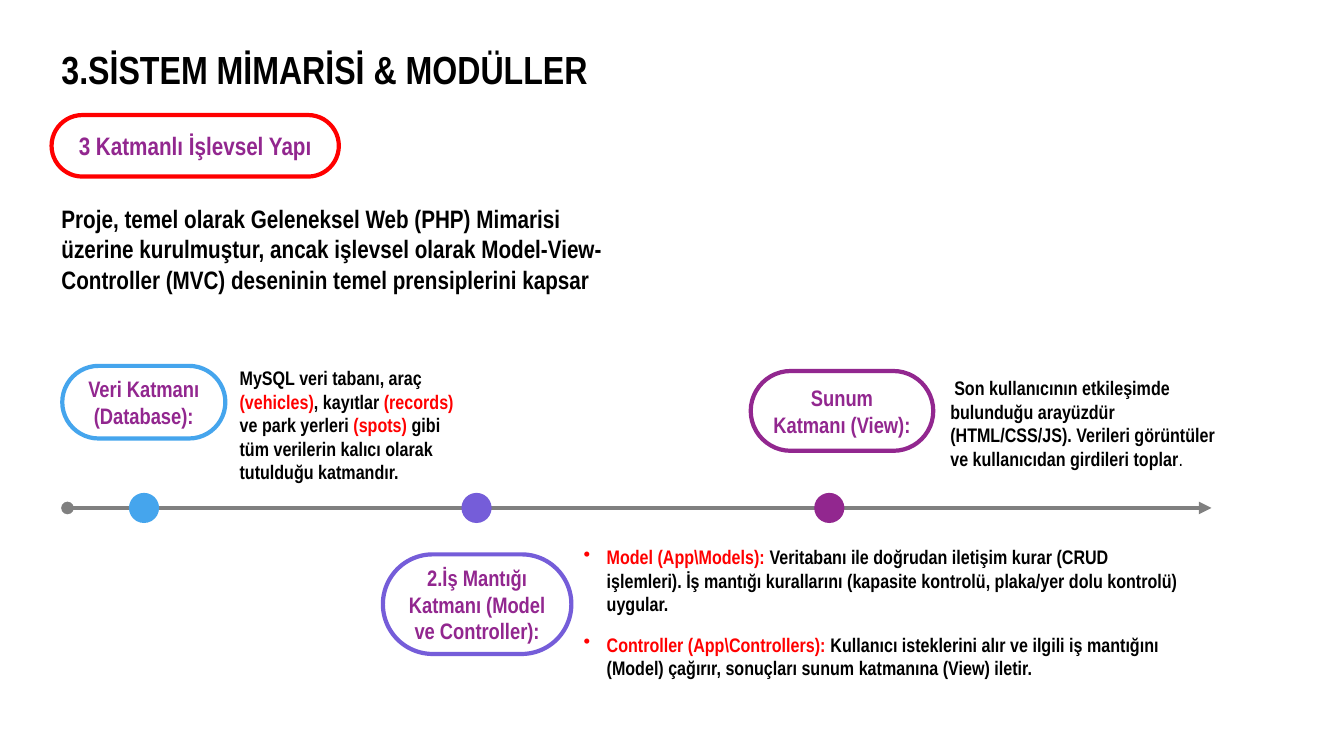
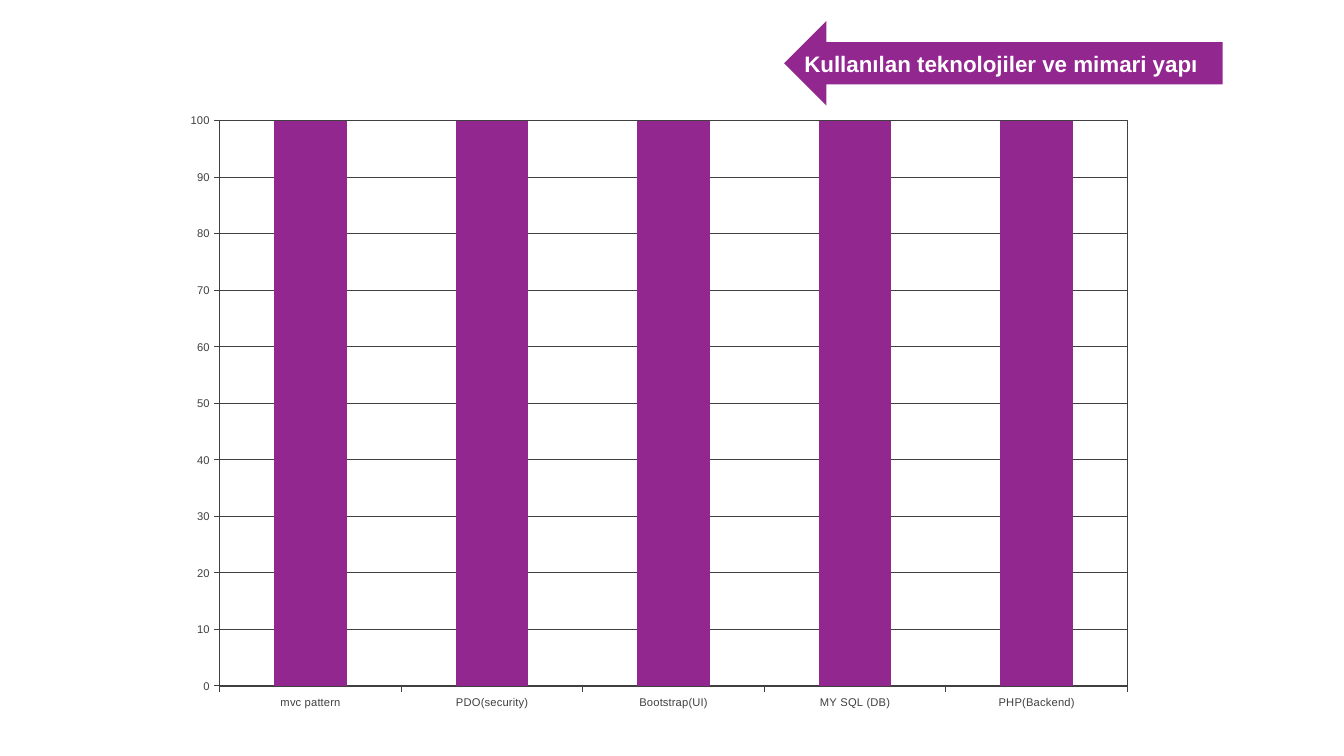
"""Builds two slides on the layered architecture of a parking system."""
import dataclasses

import lxml.etree
import pptx
import pptx.chart.data
import pptx.dml.color
import pptx.enum.chart
import pptx.enum.shapes
import pptx.enum.text
import pptx.oxml
import pptx.oxml.ns
import pptx.util

Cm = pptx.util.Cm
Pt = pptx.util.Pt
qn = pptx.oxml.ns.qn
SHAPE = pptx.enum.shapes.MSO_SHAPE
ALIGN = pptx.enum.text.PP_ALIGN
ANCHOR = pptx.enum.text.MSO_ANCHOR


@dataclasses.dataclass(frozen=True)
class Theme:
    """Holds the colours, fonts and type sizes of the deck."""
    black: str = "000000"
    white: str = "FFFFFF"
    red: str = "FF0000"
    purple: str = "92278F"
    blue: str = "45A5ED"
    violet: str = "755DD9"
    grey: str = "808080"
    axis: str = "404040"
    narrow: str = "Arial Narrow"
    sans: str = "Arial"
    title: int = 28
    lead: int = 18
    label: int = 16
    note: int = 14
    tick: int = 8
    stroke: int = 3
    hairline: float = 0.75


T = Theme()

STEPS = [
    {
        "dot": 2.33, "color": T.blue,
        "pill": (0.27, 0.12, 4.11, 1.83), "label": "Veri Katmanı (Database):",
        "note": (4.49, 0, 6.25, 3.9),
        "paras": [[
            ("MySQL veri tabanı, araç ", T.black), ("(vehicles)", T.red),
            (", kayıtlar ", T.black), ("(records) ", T.red),
            ("ve park yerleri ", T.black), ("(spots) ", T.red),
            ("gibi tüm verilerin kalıcı olarak tutulduğu katmandır.", T.black),
        ]],
    },
    {
        "dot": 10.71, "color": T.violet,
        "pill": (8.35, 4.87, 4.75, 2.51),
        "label": "İş Mantığı Katmanı (Model ve Controller):",
        "label_list": {"tag": "a:buAutoNum", "attrs": {"type": "arabicPeriod", "startAt": "2"}},
        "note": (12.47, 4.51, 16.43, 3.68),
        "note_list": {"tag": "a:buChar", "attrs": {"char": "•"}, "left": 1.27, "first": -0.58},
        "paras": [
            [("Model (App\\Models): ", T.red),
             ("Veritabanı ile doğrudan iletişim kurar (CRUD işlemleri). İş mantığı kurallarını "
              "(kapasite kontrolü, plaka/yer dolu kontrolü) uygular.", T.black)],
            [("Controller (App\\Controllers): ", T.red),
             ("Kullanıcı isteklerini alır ve ilgili iş mantığını (Model) çağırır, sonuçları sunum "
              "katmanına (View) iletir.", T.black)],
        ],
    },
    {
        "dot": 19.6, "color": T.purple,
        "pill": (17.62, 0.25, 4.6, 2.01), "label": "Sunum Katmanı (View):",
        "note": (22.4, 0.25, 7.47, 3.18),
        "note_list": {"tag": "a:buNone", "attrs": {}, "first": 0.1},
        "paras": [[
            ("Son kullanıcının etkileşimde bulunduğu arayüzdür (HTML/CSS/JS). Verileri görüntüler "
             "ve kullanıcıdan girdileri toplar", T.black),
            (".", T.black, False),
        ]],
    },
]

TECHNOLOGIES = ["mvc pattern", "PDO(security)", "Bootstrap(UI)", "MY SQL (DB)", "PHP(Backend)"]


def rgb(color):
    """Turns a hex string into a colour value."""
    return pptx.dml.color.RGBColor.from_string(color)


def assign(obj, values):
    """Sets every attribute named in a dict of format values."""
    for name, value in values.items():
        setattr(obj, name, value)


def place(box, part):
    """Gives the absolute lengths of a part placed relative to a box."""
    x, y, w, h = part
    return Cm(box[0] + x), Cm(box[1] + y), Cm(w), Cm(h)


def format_font(font, size, color, name=T.narrow, bold=True):
    """Applies the size, face, weight and colour of a font."""
    assign(font, {"size": Pt(size), "name": name, "bold": bold})
    font.color.rgb = rgb(color)


def format_line(line, color, width):
    """Applies the colour and width of a line."""
    line.color.rgb = rgb(color)
    line.width = Pt(width)


def set_list(p, tag, attrs, left=0, first=0):
    """Gives a paragraph its list marker and indents."""
    pPr = p._p.get_or_add_pPr()
    pPr.set("marL", str(Cm(left)))
    pPr.set("indent", str(Cm(first)))
    lxml.etree.SubElement(pPr, qn(tag), attrs)


def write(tf, paras, size, name=T.narrow, marker=None, frame=None, para=None):
    """Fills a text frame with paragraphs made of coloured runs."""
    assign(tf, {"word_wrap": True, **(frame or {})})
    for i, runs in enumerate(paras):
        p = tf.add_paragraph() if i else tf.paragraphs[0]
        if marker:
            set_list(p, **marker)
        assign(p, {"space_before": Pt(12 if i else 0), **(para or {})})
        for text, color, *bold in runs:
            r = p.add_run()
            r.text = text
            format_font(r.font, size, color, name, *bold)


def add_text(s, area, paras, size, **options):
    """Adds a text box."""
    write(s.shapes.add_textbox(*area).text_frame, paras, size, **options)


def add_solid(s, kind, area, fill, outline=None):
    """Adds a flat preset shape with an optional outline."""
    sp = s.shapes.add_shape(kind, *area)
    sp.shadow.inherit = False
    sp.fill.solid()
    sp.fill.fore_color.rgb = rgb(fill)
    if outline:
        format_line(sp.line, outline, T.stroke)
    else:
        sp.line.fill.background()
    return sp


def add_pill(s, area, text, outline, size, marker=None):
    """Adds a white rounded label with a coloured outline."""
    sp = add_solid(s, SHAPE.ROUNDED_RECTANGLE, area, T.white, outline)
    sp.adjustments[0] = 0.5
    write(sp.text_frame, [[(text, T.purple)]], size, marker=marker,
          frame={"vertical_anchor": ANCHOR.MIDDLE}, para={"alignment": ALIGN.CENTER})


def add_header(s, box):
    """Places the title, the topic label and the introduction."""
    add_text(s, place(box, (0, 0, box[2], 2)), [[("3.SİSTEM MİMARİSİ & MODÜLLER", T.black)]],
             T.title, frame={"vertical_anchor": ANCHOR.MIDDLE}, para={"line_spacing": 0.9})
    add_pill(s, place(box, (0, 2.09, 7.24, 1.55)), "3 Katmanlı İşlevsel Yapı", T.red, T.lead)
    intro = ("Proje, temel olarak Geleneksel Web (PHP) Mimarisi üzerine kurulmuştur, ancak işlevsel "
             "olarak Model-View-Controller (MVC) deseninin temel prensiplerini kapsar")
    add_text(s, place(box, (0, 4.19, 14.25, 2.57)), [[(intro, T.black)]], T.lead)


def add_timeline(s, box, axis_y=3.7, dot=0.76):
    """Places the arrow and its three layers with labels and notes."""
    y = Cm(box[1] + axis_y)
    c = s.shapes.add_connector(pptx.enum.shapes.MSO_CONNECTOR.STRAIGHT,
                               Cm(box[0] + 0.4), y, Cm(box[0] + 29.23), y)
    format_line(c.line, T.grey, T.stroke)
    ln = c.line._get_or_add_ln()
    for tag, end in (("a:headEnd", "oval"), ("a:tailEnd", "triangle")):
        lxml.etree.SubElement(ln, qn(tag), {"type": end})
    lxml.etree.SubElement(c._element.spPr, qn("a:effectLst"))
    for step in STEPS:
        add_solid(s, SHAPE.OVAL, place(box, (step["dot"] - dot / 2, axis_y - dot / 2, dot, dot)),
                  step["color"])
        add_pill(s, place(box, step["pill"]), step["label"], step["color"], T.label,
                 step.get("label_list"))
        add_text(s, place(box, step["note"]), step["paras"], T.note, marker=step.get("note_list"))


def add_banner(s, box):
    """Places the arrow banner that names the chart."""
    sp = add_solid(s, SHAPE.LEFT_ARROW, place(box, (0, 0, *box[2:])), T.purple)
    write(sp.text_frame, [[("Kullanılan teknolojiler ve mimari yapı", T.white)]], T.label, T.sans,
          frame={"word_wrap": False, "vertical_anchor": ANCHOR.MIDDLE,
                 "margin_left": 0, "margin_right": Cm(0.64)},
          para={"alignment": ALIGN.CENTER})


def frame_plot(chart, **layout):
    """Fixes the inner plot rectangle and outlines it."""
    area = chart._chartSpace.chart.plotArea
    for old in area.findall(qn("c:layout")):
        area.remove(old)
    sizes = "".join(f'<c:{k} val="{v}"/>' for k, v in layout.items())
    ns = pptx.oxml.ns.nsdecls("c", "a")
    area.insert(0, pptx.oxml.parse_xml(
        f'<c:layout {ns}><c:manualLayout><c:layoutTarget val="inner"/><c:xMode val="edge"/>'
        f'<c:yMode val="edge"/>{sizes}</c:manualLayout></c:layout>'))
    area.append(pptx.oxml.parse_xml(
        f'<c:spPr {ns}><a:noFill/><a:ln w="{Pt(T.hairline)}"><a:solidFill>'
        f'<a:srgbClr val="{T.axis}"/></a:solidFill></a:ln></c:spPr>'))


def add_technology_chart(s, box):
    """Places the column chart of the technologies."""
    data = pptx.chart.data.CategoryChartData()
    data.categories = TECHNOLOGIES
    data.add_series("Series 1", [100] * len(TECHNOLOGIES))
    chart = s.shapes.add_chart(pptx.enum.chart.XL_CHART_TYPE.COLUMN_CLUSTERED,
                               *place(box, (0, 0, *box[2:])), data).chart
    assign(chart, {"has_legend": False, "has_title": False})
    format_font(chart.font, T.tick, T.black, T.sans, False)
    plot = chart.plots[0]
    assign(plot, {"gap_width": 150, "overlap": 100, "vary_by_categories": False})
    fill = plot.series[0].format.fill
    fill.solid()
    fill.fore_color.rgb = rgb(T.purple)
    for axis in (chart.category_axis, chart.value_axis):
        axis.major_tick_mark = pptx.enum.chart.XL_TICK_MARK.OUTSIDE
        format_font(axis.tick_labels.font, T.tick, T.axis, T.sans, False)
        format_line(axis.format.line, T.axis, T.hairline)
    assign(chart.value_axis, {"minimum_scale": 0, "maximum_scale": 100, "major_unit": 10,
                              "has_major_gridlines": True})
    format_line(chart.value_axis.major_gridlines.format.line, T.axis, T.hairline)
    frame_plot(chart, x=0.105, y=0.023, w=0.817, h=0.876)


def main():
    """Builds and saves the deck."""
    prs = pptx.Presentation()
    assign(prs, {"slide_width": Cm(33.87), "slide_height": Cm(19.05)})
    blank = prs.slide_layouts[6]
    s = prs.slides.add_slide(blank)
    add_header(s, (1.3, 0.81, 32.16, 6.8))
    add_timeline(s, (1.3, 9.1, 29.9, 8.2))
    s = prs.slides.add_slide(blank)
    add_banner(s, (19.76, 0.53, 11.05, 2.13))
    add_technology_chart(s, (2.6, 2.67, 28, 16.26))
    prs.save("out.pptx")


if __name__ == "__main__":
    main()
